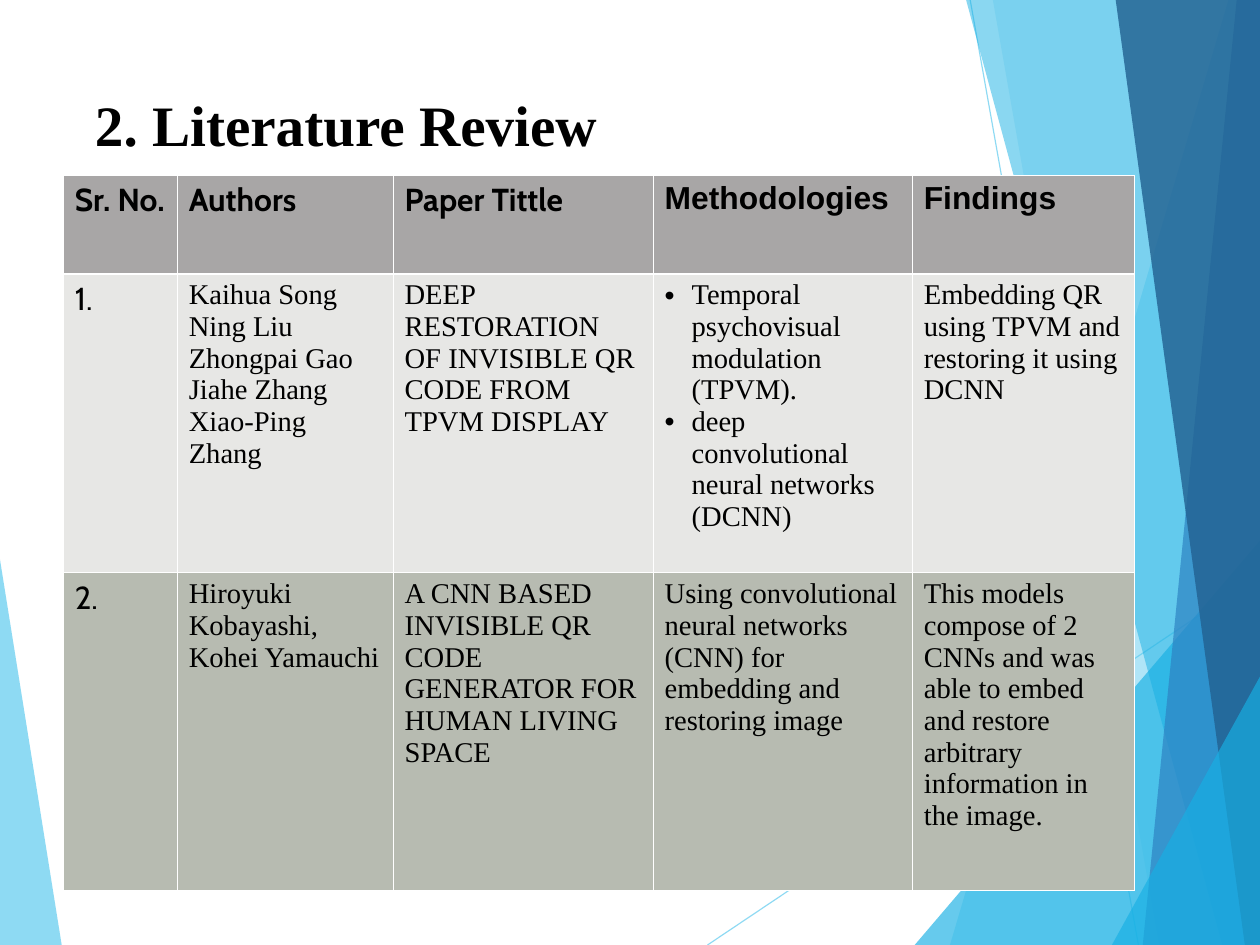
"""Builds the literature review slide: faceted backdrop, title and table."""
from dataclasses import dataclass

from pptx import Presentation
from pptx import util as u
from pptx.dml.color import RGBColor
from pptx.enum import shapes, text
from pptx.oxml import parse_xml
from pptx.oxml.ns import nsdecls, qn

W, H = u.Cm(28), u.Cm(21)
BLACK = RGBColor(0x00, 0x00, 0x00)
WHITE = RGBColor(0xFF, 0xFF, 0xFF)
SKY = RGBColor(0x5F, 0xCB, 0xEF)
CYAN = RGBColor(0x17, 0xB0, 0xE4)
BLUE = RGBColor(0x2E, 0x83, 0xC3)
NAVY = RGBColor(0x23, 0x62, 0x92)
HEAD_GREY = RGBColor(0xA8, 0xA6, 0xA6)
LIGHT_GREY = RGBColor(0xE7, 0xE7, 0xE5)
SAGE = RGBColor(0xB7, 0xBB, 0xB1)
SERIF, SANS, CABIN = "Times New Roman", "Arial", "Cabin"
THIN, THICK = 0.45, 1.47


@dataclass
class Facet:
    """A translucent polygon; points are percentages of the slide."""
    points: list[tuple[float, float]]
    color: RGBColor
    alpha: int


@dataclass
class Ray:
    """A thin line; ends are percentages of the slide."""
    start: tuple[float, float]
    end: tuple[float, float]


@dataclass
class Entry:
    """The content and type of one table cell."""
    text: str
    font: str = SERIF
    size: int = 18
    bold: bool = False
    bullets: bool = False


@dataclass
class Row:
    """A table row; height is a percentage of the slide."""
    height: float
    fill: RGBColor
    top: float
    bottom: float
    entries: list[Entry]


BACKDROP = [
    Facet([(0, 59.2), (4.9, 100), (0, 100)], SKY, 70),
    Ray((56.15, 100), (100, 60.8)),
    Ray((77, 0), (90.35, 100)),
    Facet([(97.5, 0), (75.4, 100), (100, 100), (100, 0)], SKY, 36),
    Facet([(78.8, 0), (92, 100), (100, 100), (100, 0)], SKY, 20),
    Facet([(72.6, 100), (100, 57.2), (100, 100)], CYAN, 66),
    Facet([(76.68, 0), (97, 100), (100, 100), (100, 0)], CYAN, 50),
    Facet([(98.15, 0), (90.7, 100), (100, 100), (100, 0)], BLUE, 70),
    Facet([(88.55, 0), (98.8, 100), (100, 100), (100, 0)], NAVY, 82),
    Facet([(88.25, 100), (100, 71.6), (100, 100)], CYAN, 66),
]

COLUMNS = [9.05, 17.13, 20.64, 20.57, 17.6]
ROWS = [
    Row(10.4, HEAD_GREY, THIN, THICK, [
        Entry(name, font, 20, True) for name, font in [
            ("Sr. No.", CABIN), ("Authors", CABIN), ("Paper Tittle", CABIN),
            ("Methodologies", SANS), ("Findings", SANS)]]),
    Row(31.65, LIGHT_GREY, THICK, THIN, [
        Entry("1.", CABIN, 20),
        Entry("Kaihua Song\nNing Liu\nZhongpai Gao\nJiahe Zhang\nXiao-Ping Zhang"),
        Entry("DEEP RESTORATION OF INVISIBLE QR CODE FROM TPVM DISPLAY"),
        Entry("Temporal psychovisual modulation (TPVM).\n"
              "deep convolutional neural networks (DCNN)", bullets=True),
        Entry("Embedding QR using TPVM and restoring it using DCNN")]),
    Row(33.65, SAGE, THIN, THIN, [
        Entry("2.", CABIN, 20),
        Entry("Hiroyuki Kobayashi,\nKohei Yamauchi"),
        Entry("A CNN BASED INVISIBLE QR CODE GENERATOR FOR HUMAN LIVING SPACE"),
        Entry("Using convolutional neural networks (CNN) for embedding "
              "and restoring image"),
        Entry("This models compose of 2 CNNs and was able to embed and restore "
              "arbitrary information in the image.")]),
]


def across(share: float) -> int:
    """Turn a percentage of the slide width into a length."""
    return round(W * share / 100)


def down(share: float) -> int:
    """Turn a percentage of the slide height into a length."""
    return round(H * share / 100)


def set_alpha(sp, alpha: int) -> None:
    """Make the first colour of a shape translucent."""
    clr = sp._element.spPr.find(".//" + qn("a:srgbClr"))
    clr.append(parse_xml(f'<a:alpha {nsdecls("a")} val="{alpha * 1000}"/>'))


def draw_facet(s, facet: Facet) -> None:
    """Draw one backdrop polygon."""
    first, *rest = [(across(x), down(y)) for x, y in facet.points]
    builder = s.shapes.build_freeform(*first)
    builder.add_line_segments(rest, close=True)
    sp = builder.convert_to_shape()
    sp.shadow.inherit = False
    sp.fill.solid()
    sp.fill.fore_color.rgb = facet.color
    set_alpha(sp, facet.alpha)
    sp.line.fill.background()


def draw_ray(s, ray: Ray) -> None:
    """Draw one backdrop line."""
    (x1, y1), (x2, y2) = ray.start, ray.end
    sp = s.shapes.add_connector(shapes.MSO_CONNECTOR.STRAIGHT, across(x1),
                                down(y1), across(x2), down(y2))
    sp.line.color.rgb = SKY
    sp.line.width = u.Pt(0.75)
    set_alpha(sp, 70)
    sp._element.spPr.append(parse_xml(f'<a:effectLst {nsdecls("a")}/>'))


def style_run(r, font: str, size: int, bold: bool) -> None:
    """Set the type of one run."""
    r.font.name, r.font.size, r.font.bold = font, u.Pt(size), bold
    r.font.color.rgb = BLACK


def draw_title(s, title: str) -> None:
    """Draw the slide title."""
    sp = s.shapes.add_textbox(across(6.65), down(8.83), across(69.42), down(12.58))
    tf = sp.text_frame
    tf.word_wrap = True
    tf.vertical_anchor = text.MSO_ANCHOR.TOP
    tf.text = title
    style_run(tf.paragraphs[0].runs[0], SERIF, 36, True)


def add_bullet(p) -> None:
    """Give a paragraph a hanging bullet."""
    pPr = p._p.get_or_add_pPr()
    hang = across(2.14)
    pPr.set("marL", str(hang))
    pPr.set("indent", str(-hang))
    pPr.append(parse_xml(f'<a:buFont {nsdecls("a")} typeface="{SANS}"/>'))
    pPr.append(parse_xml(f'<a:buChar {nsdecls("a")} char="•"/>'))


def fill_cell(cell, entry: Entry, row: Row) -> None:
    """Write and style one table cell."""
    tcPr = cell._tc.get_or_add_tcPr()
    for side, pt in zip("LRTB", (THIN, THIN, row.top, row.bottom)):
        tcPr.append(parse_xml(
            f'<a:ln{side} {nsdecls("a")} w="{u.Pt(pt)}"><a:solidFill>'
            f'<a:srgbClr val="{WHITE}"/></a:solidFill></a:ln{side}>'))
    cell.fill.solid()
    cell.fill.fore_color.rgb = row.fill
    cell.text_frame.text = entry.text
    for p in cell.text_frame.paragraphs:
        if entry.bullets:
            add_bullet(p)
        for r in p.runs:
            style_run(r, entry.font, entry.size, entry.bold)


def draw_table(s) -> None:
    """Draw the table of reviewed papers."""
    frame = s.shapes.add_table(
        len(ROWS), len(COLUMNS), across(5.03), down(18.55),
        across(sum(COLUMNS)), down(sum(row.height for row in ROWS)))
    table = frame.table
    for column, share in zip(table.columns, COLUMNS):
        column.width = across(share)
    for table_row, row in zip(table.rows, ROWS):
        table_row.height = down(row.height)
        for cell, entry in zip(table_row.cells, row.entries):
            fill_cell(cell, entry, row)


def main() -> None:
    """Build and save the slide."""
    prs = Presentation()
    prs.slide_width, prs.slide_height = W, H
    s = prs.slides.add_slide(prs.slide_layouts[6])
    for part in BACKDROP:
        if isinstance(part, Facet):
            draw_facet(s, part)
        else:
            draw_ray(s, part)
    draw_title(s, "2. Literature Review")
    draw_table(s)
    prs.save("out.pptx")


if __name__ == "__main__":
    main()
